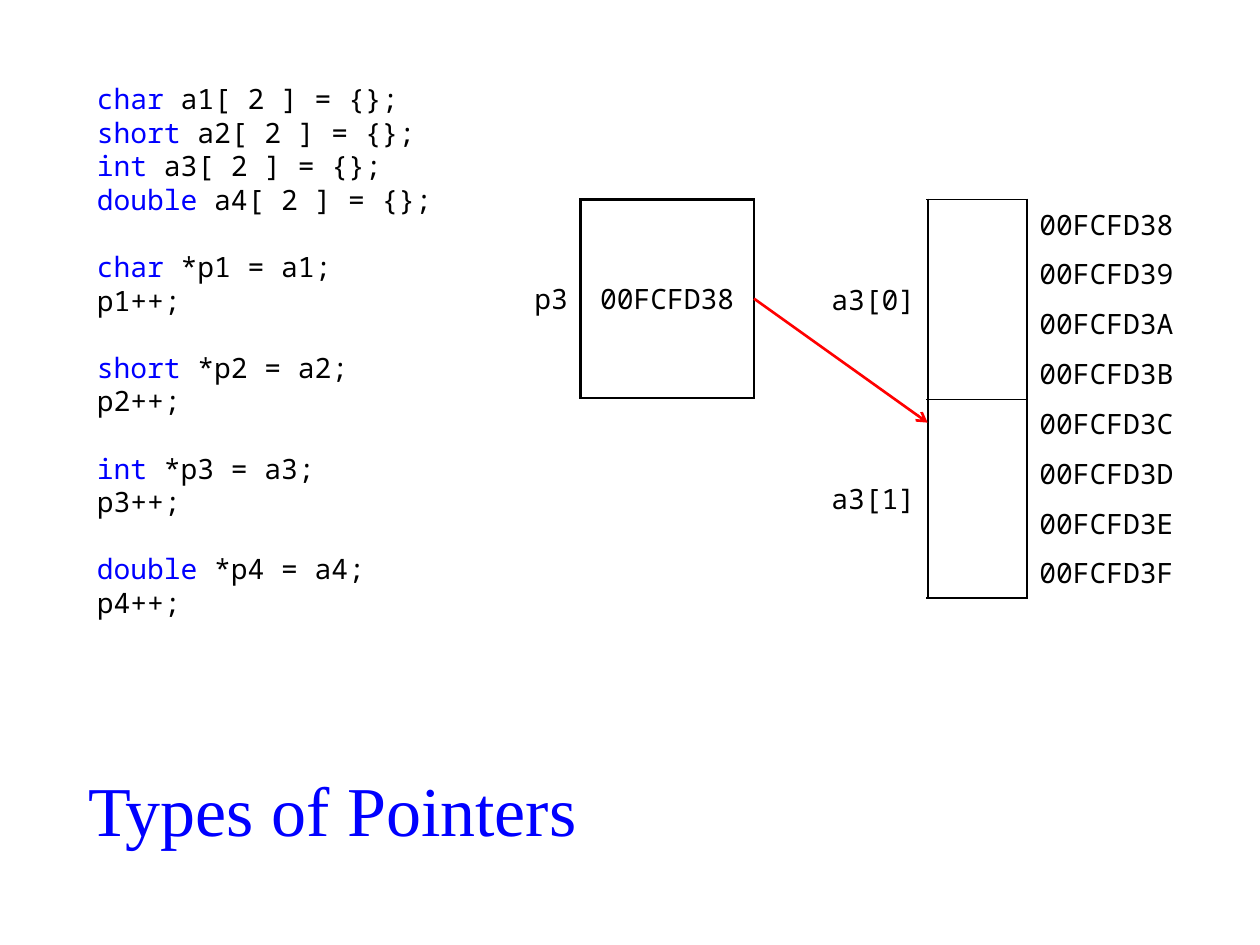
from lxml import etree
from pptx import Presentation
from pptx import util as u
from pptx.dml.color import RGBColor
from pptx.enum import shapes, text
from pptx.oxml import ns

HUES = {"ink": "000000", "key": "0000FF", "arrow": "FF0000"}
MONO = "Noto Sans Mono"
PLAIN = "{2D5ABB26-0587-4C30-8999-92F81FD0307C}"
ROW = 1
CODE = [
    ["char a1[ 2 ] = {};", "short a2[ 2 ] = {};",
     "int a3[ 2 ] = {};", "double a4[ 2 ] = {};"],
    ["char *p1 = a1;", "p1++;"],
    ["short *p2 = a2;", "p2++;"],
    ["int *p3 = a3;", "p3++;"],
    ["double *p4 = a4;", "p4++;"],
]
ADDRS = ["00FCFD" + end for end in "38 39 3A 3B 3C 3D 3E 3F".split()]


def hue(name):
    return RGBColor.from_string(HUES[name])


def style(para, size=16, name=MONO, color="ink"):
    para.font.size = u.Pt(size)
    para.font.name = name
    para.font.color.rgb = hue(color)


def place(shape, box):
    shape.left, shape.top, shape.width, shape.height = map(u.Cm, box)


def add_title(slide, box):
    title = slide.shapes.title
    place(title, box)
    title.text_frame.text = "Types of Pointers"
    title.text_frame.vertical_anchor = text.MSO_ANCHOR.MIDDLE
    para = title.text_frame.paragraphs[0]
    para.alignment = text.PP_ALIGN.CENTER
    style(para, 40, "Times New Roman", "key")


def add_code(slide, box):
    body = slide.placeholders[1]
    place(body, box)
    frame = body.text_frame
    frame.auto_size = text.MSO_AUTO_SIZE.NONE
    para = frame.paragraphs[0]
    for b, block in enumerate(CODE):
        for n, line in enumerate(block):
            if b or n:
                para = frame.add_paragraph()
            style(para)
            para.line_spacing = u.Pt(19.2)
            para.space_before = u.Pt(19.2 if b and not n else 0)
            props = para._p.get_or_add_pPr()
            props.set("marL", "0")
            props.set("indent", "0")
            props.insert_element_before(
                props.makeelement(ns.qn("a:buNone")), "a:tabLst", "a:defRPr")
            word, gap, rest = line.partition(" ")
            if gap:
                run = para.add_run()
                run.text = word
                run.font.color.rgb = hue("key")
            run = para.add_run()
            run.text = gap + rest if gap else word
            run.font.color.rgb = hue("ink")


def add_grid(slide, left, top, cols, rows, high):
    frame = slide.shapes.add_table(rows, len(cols), u.Cm(left), u.Cm(top),
                                   u.Cm(sum(cols)), u.Cm(rows * high))
    table = frame.table
    table.first_row = table.horz_banding = False
    table._tbl.tblPr.find(ns.qn("a:tableStyleId")).text = PLAIN
    for col, width in zip(table.columns, cols):
        col.width = u.Cm(width)
    for row in table.rows:
        row.height = u.Cm(high)
    return table


def fill_cell(cell, words, align, pad=None):
    cell.text = words
    cell.vertical_anchor = text.MSO_ANCHOR.MIDDLE
    if pad is not None:
        cell.margin_top = cell.margin_bottom = u.Cm(pad)
    para = cell.text_frame.paragraphs[0]
    para.alignment = align
    style(para)


def edge(cell, widths):
    props = cell._tc.get_or_add_tcPr()
    for side in "LRTB":
        if side in widths:
            line = etree.SubElement(props, ns.qn("a:ln" + side),
                                    w=str(u.Pt(widths[side])))
            fill = etree.SubElement(line, ns.qn("a:solidFill"))
            etree.SubElement(fill, ns.qn("a:srgbClr"), val=HUES["ink"])


def add_array(slide, left, top):
    table = add_grid(slide, left, top, [2.5, 2, 3.5], len(ADDRS), ROW)
    last = len(ADDRS) - 1
    for r, addr in enumerate(ADDRS):
        sides = {"L": 1.5, "R": 1.5}
        if r % 4 == 0:
            sides.update(T=1, B=1.5 if r else 1)
        elif r == last:
            sides["B"] = 1.5
        edge(table.cell(r, 0), {"R": 1.5})
        edge(table.cell(r, 1), sides)
        edge(table.cell(r, 2), {"L": 1.5})
        fill_cell(table.cell(r, 2), addr, text.PP_ALIGN.LEFT, 0.05)
    for i in range(2):
        for c in range(2):
            table.cell(4 * i, c).merge(table.cell(4 * i + 3, c))
        fill_cell(table.cell(4 * i, 0), f"a3[{i}]", text.PP_ALIGN.RIGHT)
    for cell in table.iter_cells():
        cell.fill.background()


def add_pointer(slide, left, top):
    table = add_grid(slide, left, top, [1.5, 3.5], 1, 4 * ROW)
    name, value = table.cell(0, 0), table.cell(0, 1)
    edge(name, {"R": 1.5})
    edge(value, dict.fromkeys("LRTB", 1.5))
    fill_cell(name, "p3", text.PP_ALIGN.RIGHT)
    fill_cell(value, ADDRS[0], text.PP_ALIGN.CENTER)
    for cell in table.iter_cells():
        cell.fill.background()


def add_arrow(slide, start, end):
    arrow = slide.shapes.add_connector(
        shapes.MSO_CONNECTOR.STRAIGHT, *map(u.Cm, start + end))
    arrow.line.color.rgb = hue("arrow")
    arrow.line.width = u.Pt(1.5)
    etree.SubElement(arrow.line._get_or_add_ln(), ns.qn("a:tailEnd"),
                     type="arrow")
    etree.SubElement(arrow._element.spPr, ns.qn("a:effectLst"))


def main():
    deck = Presentation()
    deck.slide_width, deck.slide_height = u.Cm(25.4), u.Cm(19.05)
    slide = deck.slides.add_slide(deck.slide_layouts[1])
    add_title(slide, (1.2, 15.04, 11, 2.5))
    add_code(slide, (1.7, 1.52, 7.5, 11.5))
    top = 4.02
    add_array(slide, 16.2, top)
    add_pointer(slide, 10.2, top)
    add_arrow(slide, (15.2, top + 2 * ROW), (18.7, top + 4.5 * ROW))
    deck.save("out.pptx")


if __name__ == "__main__":
    main()
